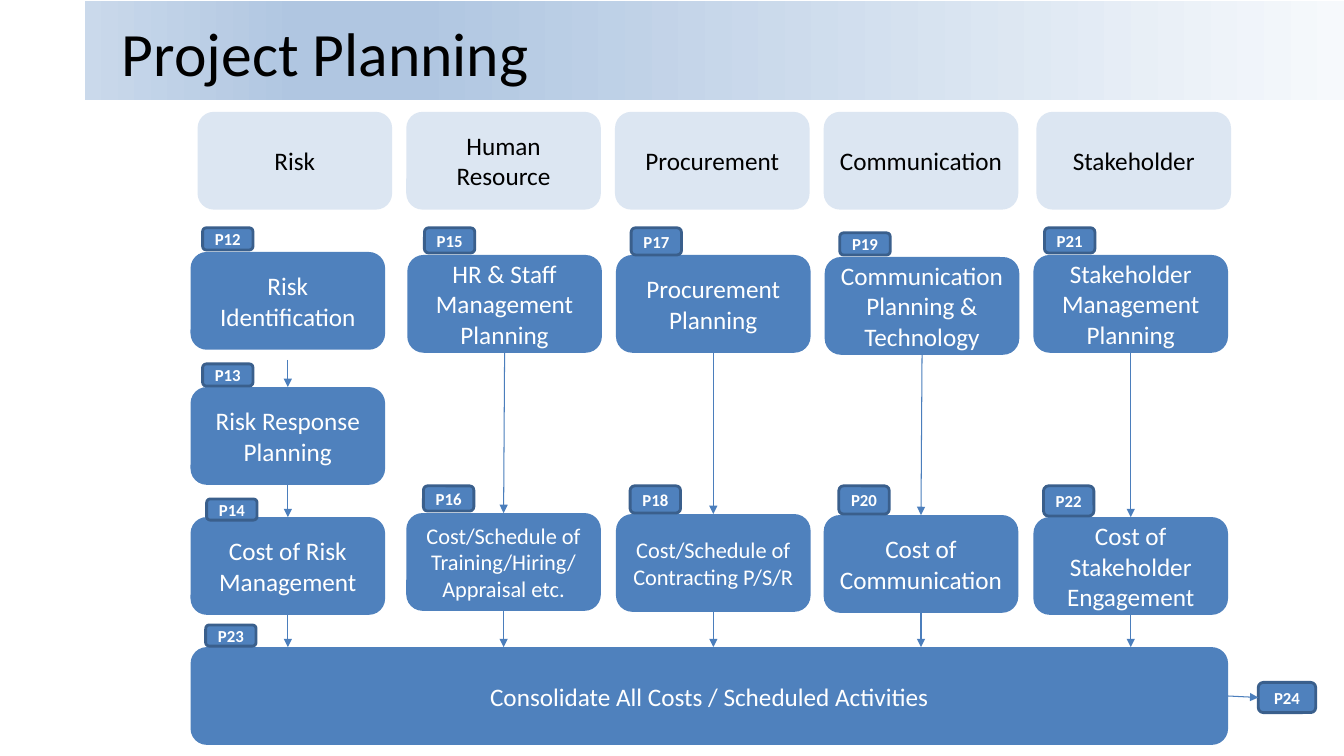
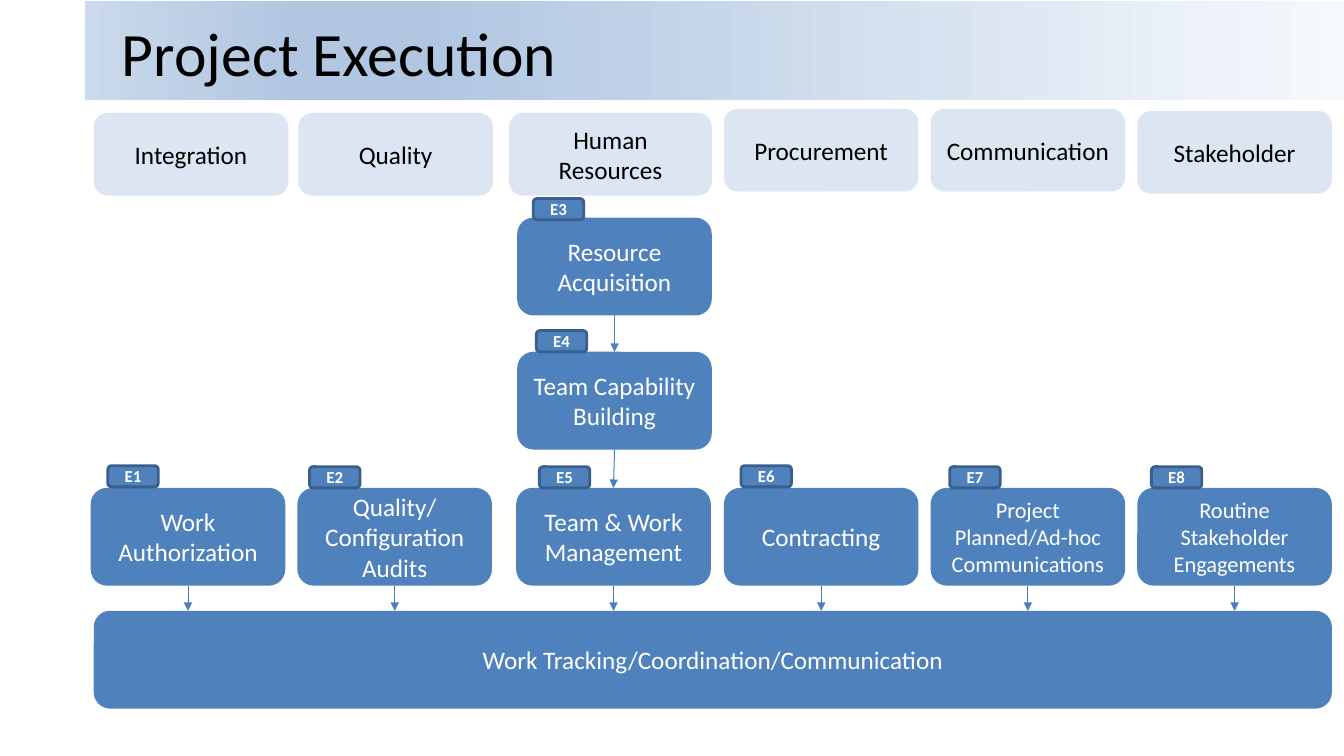
import dataclasses

import lxml.etree
import pptx
import pptx.dml.color
import pptx.enum.shapes
import pptx.enum.text
import pptx.oxml
import pptx.oxml.ns
import pptx.util

Inches = pptx.util.Inches
FONT = "Calibri"
COLORS = {
    "blue": "4F81BD",
    "pale": "DCE6F2",
    "edge": "3A5F8C",
    "arrow": "4B7EBC",
    "white": "FFFFFF",
    "black": "000000",
}
BAND = [(0, "F6F9FC"), (74, "B0C6E1"), (83, "B0C6E1"), (100, "CAD9EB")]
WIDE = 1.93
HIGH = 0.97


@dataclasses.dataclass
class Step:
    text: str
    left: float
    top: float
    tag: str
    dx: float
    rise: float = 0.21
    high: float = 0.21
    size: int = 18
    gap: float = 0


def color(name):
    return pptx.dml.color.RGBColor.from_string(COLORS[name])


def style(para, size, ink, bold=False):
    para.font.name = FONT
    para.font.size = pptx.util.Pt(size)
    para.font.bold = bold
    para.font.color.rgb = color(ink)


def add_box(slide, text, box, fill="blue", ink="white", size=18, edge=None, bold=False):
    shape = slide.shapes.add_shape(
        pptx.enum.shapes.MSO_SHAPE.ROUNDED_RECTANGLE, *map(Inches, box))
    shape.shadow.inherit = False
    shape.fill.solid()
    shape.fill.fore_color.rgb = color(fill)
    if edge:
        shape.line.color.rgb = color(edge)
        shape.line.width = pptx.util.Pt(2)
    else:
        shape.line.fill.background()
    frame = shape.text_frame
    frame.word_wrap = True
    frame.vertical_anchor = pptx.enum.text.MSO_ANCHOR.MIDDLE
    frame.text = text
    para = frame.paragraphs[0]
    para.alignment = pptx.enum.text.PP_ALIGN.CENTER
    style(para, size, ink, bold)
    return shape


def add_tag(slide, text, left, top, wide, high):
    return add_box(slide, text, (left, top, wide, high), size=12, edge="edge", bold=True)


def add_arrow(slide, start, end):
    line = slide.shapes.add_connector(
        pptx.enum.shapes.MSO_CONNECTOR.STRAIGHT, *start, *end)
    line.line.color.rgb = color("arrow")
    line.line.width = pptx.util.Pt(0.75)
    props = line._element.spPr
    tail = lxml.etree.SubElement(
        props.find(pptx.oxml.ns.qn("a:ln")), pptx.oxml.ns.qn("a:tailEnd"))
    tail.set("type", "triangle")
    lxml.etree.SubElement(props, pptx.oxml.ns.qn("a:effectLst"))
    return line


def add_drop(slide, upper, end, gap=0):
    start = (upper.left + upper.width // 2, upper.top + upper.height + Inches(gap))
    line = add_arrow(slide, start, end)
    if not gap:
        line.begin_connect(upper, 2)
    return line


def add_step(slide, step):
    shape = add_box(slide, step.text, (step.left, step.top, WIDE, HIGH), size=step.size)
    add_tag(slide, step.tag, step.left + step.dx, step.top - step.rise, 0.5, step.high)
    return shape


def add_lane(slide, head, box, steps, foot):
    add_box(slide, head, box, "pale", "black")
    shapes = [add_step(slide, step) for step in steps]
    for step, upper, lower in zip(steps, shapes, shapes[1:]):
        end = (lower.left + lower.width // 2, lower.top)
        add_drop(slide, upper, end, step.gap).end_connect(lower, 0)
    last = shapes[-1]
    add_drop(slide, last, (last.left + last.width // 2, foot.top))


def add_band(slide, layout):
    band = slide.shapes.add_shape(
        pptx.enum.shapes.MSO_SHAPE.RECTANGLE, *map(Inches, (0.84, 0.01, 12.49, 0.98)))
    band.shadow.inherit = False
    band.line.fill.background()
    band.fill.gradient()
    band.fill.gradient_angle = 180
    stops = band._element.spPr.find(".//" + pptx.oxml.ns.qn("a:gsLst"))
    for stop in list(stops):
        stops.remove(stop)
    for place, tint in BAND:
        stop = lxml.etree.SubElement(
            stops, pptx.oxml.ns.qn("a:gs"), pos=str(place * 1000))
        lxml.etree.SubElement(stop, pptx.oxml.ns.qn("a:srgbClr"), val=tint)
    layout.shapes.element.insert(2, band._element)


def set_layout(layout):
    for holder in layout.placeholders:
        if holder.placeholder_format.type == pptx.enum.shapes.PP_PLACEHOLDER.TITLE:
            holder.left, holder.top, holder.width, holder.height = map(
                Inches, (1.11, 0.06, 11.78, 0.91))


def add_flow(deck, layout, title, foot, foot_box, lanes):
    slide = deck.slides.add_slide(layout)
    slide.shapes.title.text = title
    para = slide.shapes.title.text_frame.paragraphs[0]
    para.alignment = pptx.enum.text.PP_ALIGN.LEFT
    style(para, 44, "black")
    bar = add_box(slide, foot, foot_box)
    for head, box, steps in lanes:
        add_lane(slide, head, box, steps, bar)
    return slide, bar


def plan_lanes():
    lanes = [
        ("Risk", 1.96, [
            Step("Risk Identification", 1.89, 2.5, "P12", 0.12, 0.24, 0.22, gap=0.1),
            Step("Risk Response Planning", 1.89, 3.84, "P13", 0.12, 0.23, 0.22),
            Step("Cost of Risk Management", 1.89, 5.13, "P14", 0.16, 0.18)]),
        ("Human Resource", 4.03, [
            Step("HR & Staff Management Planning", 4.04, 2.53, "P15", 0.17, 0.27, 0.25),
            Step("Cost/Schedule of Training/Hiring/ Appraisal etc.", 4.03, 5.09,
                 "P16", 0.17, 0.27, 0.25, 16)]),
        ("Procurement", 6.1, [
            Step("Procurement Planning", 6.11, 2.53, "P17", 0.15, 0.27, 0.27),
            Step("Cost/Schedule of Contracting P/S/R", 6.11, 5.1,
                 "P18", 0.14, 0.28, 0.27, 16)]),
        ("Communication", 8.17, [
            Step("Communication Planning & Technology", 8.18, 2.55,
                 "P19", 0.15, 0.24, 0.22),
            Step("Cost of Communication", 8.17, 5.11, "P20", 0.15, 0.29, 0.28)]),
        ("Stakeholder", 10.28, [
            Step("Stakeholder Management Planning", 10.25, 2.53,
                 "P21", 0.11, 0.27, 0.25),
            Step("Cost of Stakeholder Engagement", 10.25, 5.13,
                 "P22", 0.1, 0.31, 0.3)]),
    ]
    return [(head, (left, 1.11, WIDE, HIGH), steps) for head, left, steps in lanes]


def work_lanes():
    row = 4.84
    high = 0.82
    return [
        ("Integration", (0.93, 1.12, WIDE, high), [
            Step("Work Authorization", 0.9, row, "E1", 0.17, 0.22)]),
        ("Quality", (2.96, 1.12, WIDE, high), [
            Step("Quality/Configuration Audits", 2.95, row, "E2", 0.12)]),
        ("Human Resources", (5.05, 1.12, 2.01, high), [
            Step("Resource Acquisition", 5.13, 2.16, "E3", 0.16, 0.19),
            Step("Team Capability Building", 5.13, 3.49, "E4", 0.19),
            Step("Team & Work Management", 5.12, row, "E5", 0.23)]),
        ("Procurement", (7.18, 1.08, WIDE, high), [
            Step("Contracting", 7.18, row, "E6", 0.17, 0.22)]),
        ("Communication", (9.23, 1.08, WIDE, high), [
            Step("Project Planned/Ad-hoc Communications", 9.23, row,
                 "E7", 0.19, size=16)]),
        ("Stakeholder", (11.28, 1.1, WIDE, high), [
            Step("Routine Stakeholder Engagements", 11.28, row,
                 "E8", 0.14, size=16)]),
    ]


def main():
    deck = pptx.Presentation()
    deck.slide_width = Inches(13.33)
    deck.slide_height = Inches(7.5)
    layout = deck.slide_layouts[5]
    set_layout(layout)

    left, top, wide = 1.89, 6.42, 10.29
    plan, bar = add_flow(
        deck, layout, "Project Planning", "Consolidate All Costs / Scheduled Activities",
        (left, top, wide, HIGH), plan_lanes())
    add_tag(plan, "P23", left + 0.15, top - 0.22, 0.5, 0.21)
    exit_tag = add_tag(plan, "P24", left + wide + 0.3, top + 0.35, 0.57, 0.3)
    arrow = add_arrow(plan, (bar.left + bar.width, bar.top), (exit_tag.left, exit_tag.top))
    arrow.begin_connect(bar, 3)
    arrow.end_connect(exit_tag, 1)
    add_band(plan, layout)

    add_flow(
        deck, layout, "Project Execution", "Work Tracking/Coordination/Communication",
        (0.93, 6.06, 12.28, HIGH), work_lanes())
    deck.save("out.pptx")


if __name__ == "__main__":
    main()
